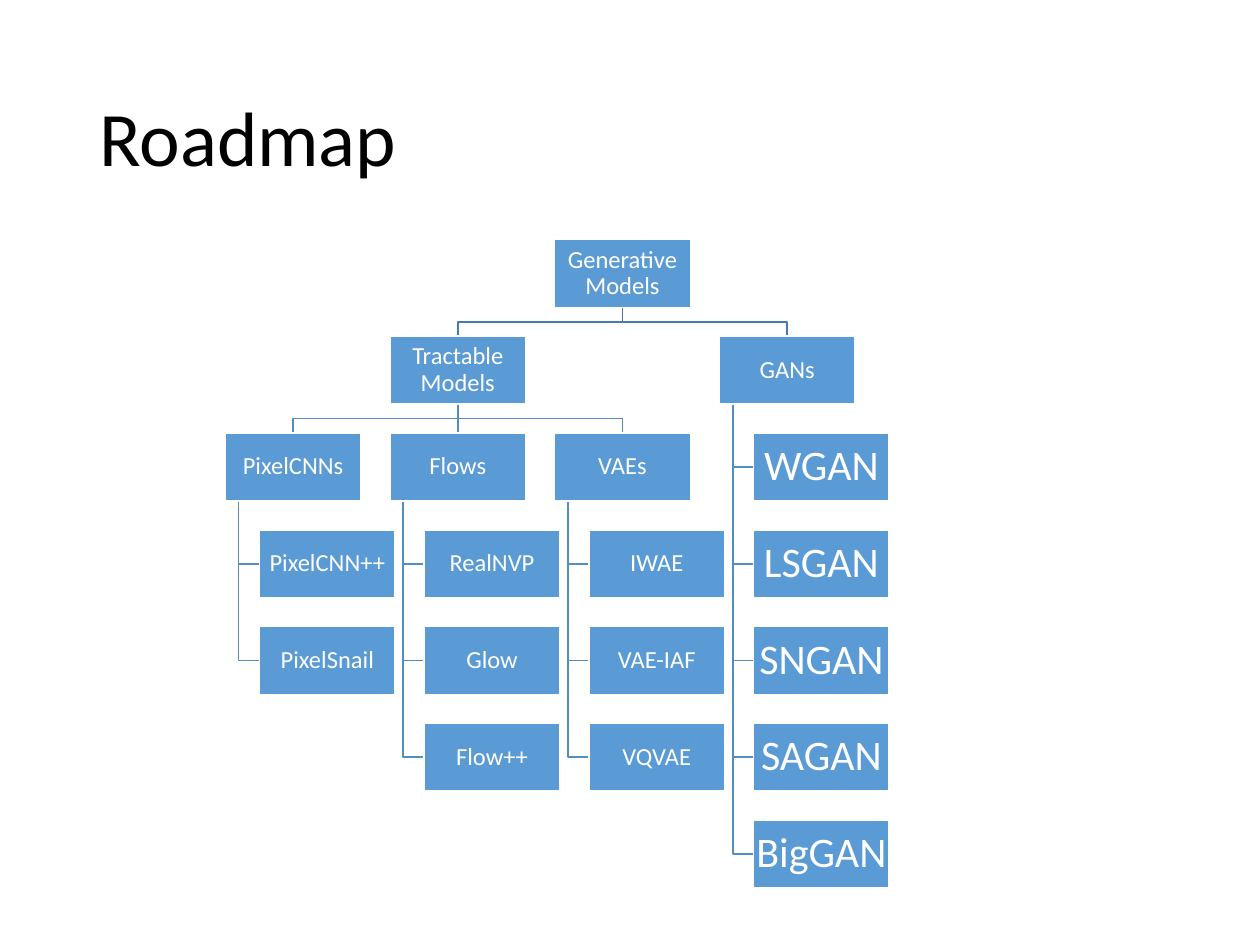
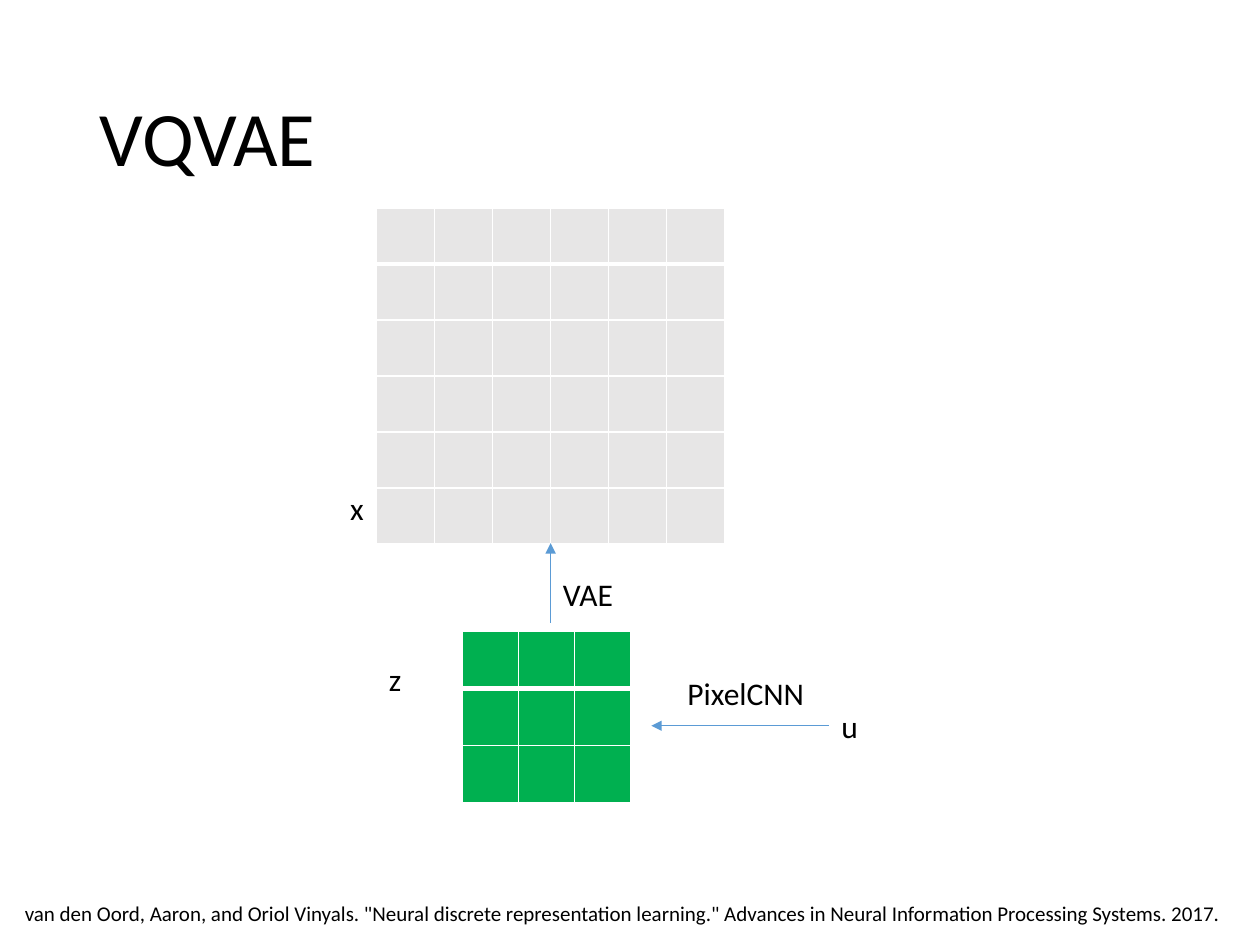
"""Build two slides: a roadmap tree of generative models and a VQVAE diagram."""
from dataclasses import dataclass
from typing import Optional

from lxml import etree
from pptx import Presentation
from pptx import util as u
from pptx.dml.color import RGBColor
from pptx.enum import shapes, text
from pptx.oxml.ns import qn

FONT = "Calibri"
COLORS = {
    "text": "000000",
    "white": "FFFFFF",
    "blue": "5B9BD5",
    "root_link": "497CAB",
    "link": "538DC1",
    "grey": "E7E6E6",
    "green": "00B050",
}

BOX_WIDTH, BOX_HEIGHT = 2.74, 1.37
TREE_LEFT, TREE_TOP = 4.54, 4.83
COLUMN_STEP, ROW_STEP = 3.32, 1.95
LEAF_INDENT, STEM_OFFSET = 0.69, 0.27
LABEL_HEIGHT = 1.02


@dataclass(frozen=True)
class Branch:
    """A tree node placed on the grid, with the leaves hanging below it."""
    label: str
    column: int
    row: int
    parent: Optional[str] = None
    leaves: tuple[str, ...] = ()
    leaf_size: int = 14

    @property
    def left(self) -> float:
        return TREE_LEFT + self.column * COLUMN_STEP

    @property
    def center(self) -> float:
        return self.left + BOX_WIDTH / 2

    @property
    def top(self) -> float:
        return TREE_TOP + self.row * ROW_STEP

    @property
    def bottom(self) -> float:
        return self.top + BOX_HEIGHT

    def leaf_top(self, index: int) -> float:
        return self.top + (index + 1) * ROW_STEP


@dataclass(frozen=True)
class Label:
    """A one-line text box."""
    content: str
    left: float
    top: float
    width: float
    height: float = LABEL_HEIGHT
    size: int = 18


@dataclass(frozen=True)
class Grid:
    """A table of equal coloured cells."""
    count: int
    left: float
    top: float
    cell_width: float
    cell_height: float
    color: str


@dataclass(frozen=True)
class Arrow:
    """A straight arrow from start to end."""
    start: tuple[float, float]
    end: tuple[float, float]


BRANCHES = (
    Branch("Generative Models", 2, 0),
    Branch("Tractable Models", 1, 1, "Generative Models"),
    Branch("GANs", 3, 1, "Generative Models",
           ("WGAN", "LSGAN", "SNGAN", "SAGAN", "BigGAN"), 24),
    Branch("PixelCNNs", 0, 2, "Tractable Models", ("PixelCNN++", "PixelSnail")),
    Branch("Flows", 1, 2, "Tractable Models", ("RealNVP", "Glow", "Flow++")),
    Branch("VAEs", 2, 2, "Tractable Models", ("IWAE", "VAE-IAF", "VQVAE")),
)
GRIDS = (
    Grid(6, 7.59, 4.19, 1.17, 1.13, "grey"),
    Grid(3, 9.32, 12.73, 1.13, 1.15, "green"),
)
ARROWS = (
    Arrow((11.1, 12.55), (11.1, 10.95)),
    Arrow((16.71, 14.63), (13.13, 14.63)),
)
LABELS = (
    Label("z", 7.59, 13.18, 0.76),
    Label("x", 6.81, 9.73, 0.79),
    Label("u", 16.71, 14.12, 0.86),
    Label("VAE", 11.1, 11.46, 1.52),
    Label("PixelCNN", 13.61, 13.46, 2.9),
    Label('van den Oord, Aaron, and Oriol Vinyals. "Neural discrete representation '
          'learning." Advances in Neural Information Processing Systems. 2017.',
          0.25, 18.03, 24.87, 1.27, 12),
)


def rgb(name: str) -> RGBColor:
    """Look up a named colour."""
    return RGBColor.from_string(COLORS[name])


def write_text(shape, content: str, *, size: int, color: str = "text",
               align=text.PP_ALIGN.LEFT, anchor=text.MSO_ANCHOR.TOP,
               spacing: float = 1.0, wrap: bool = True,
               fit=text.MSO_AUTO_SIZE.NONE, inset: Optional[float] = None) -> None:
    """Write formatted text into a shape."""
    frame = shape.text_frame
    frame.text = content
    frame.word_wrap = wrap
    frame.auto_size = fit
    frame.vertical_anchor = anchor
    if inset is not None:
        frame.margin_left = frame.margin_right = u.Cm(inset)
        frame.margin_top = frame.margin_bottom = u.Cm(inset)
    paragraph = frame.paragraphs[0]
    paragraph.alignment = align
    paragraph.line_spacing = spacing
    font = paragraph.runs[0].font
    font.name = FONT
    font.size = u.Pt(size)
    font.color.rgb = rgb(color)


def add_titled_slide(presentation, title: str):
    """Add a slide with the shared title style."""
    slide = presentation.slides.add_slide(presentation.slide_layouts[5])
    shape = slide.shapes.title
    shape.left, shape.top = u.Cm(1.75), u.Cm(1.02)
    shape.width, shape.height = u.Cm(21.9), u.Cm(3.68)
    write_text(shape, title, size=44, anchor=text.MSO_ANCHOR.MIDDLE, spacing=0.9)
    return slide


def add_line(slide, start: tuple[float, float], end: tuple[float, float], *,
             color: str, width: float, arrow: bool = False) -> None:
    """Draw a straight line, with an arrowhead at its end on request."""
    connector = slide.shapes.add_connector(
        shapes.MSO_CONNECTOR.STRAIGHT, *(u.Cm(value) for value in start + end))
    connector.line.color.rgb = rgb(color)
    connector.line.width = u.Pt(width)
    properties = connector._element.spPr
    if arrow:
        etree.SubElement(properties.find(qn("a:ln")), qn("a:tailEnd"), type="triangle")
    etree.SubElement(properties, qn("a:effectLst"))


def add_link(slide, points: list[tuple[float, float]], color: str) -> None:
    """Draw an open bent line through the points."""
    start, *others = [(u.Cm(x), u.Cm(y)) for x, y in points]
    builder = slide.shapes.build_freeform(*start)
    builder.add_line_segments(others, close=False)
    shape = builder.convert_to_shape()
    shape.shadow.inherit = False
    shape.fill.background()
    shape.line.color.rgb = rgb(color)
    shape.line.width = u.Pt(1)


def add_box(slide, label: str, left: float, top: float, size: int = 14) -> None:
    """Draw one box of the tree."""
    shape = slide.shapes.add_shape(
        shapes.MSO_SHAPE.RECTANGLE,
        u.Cm(left), u.Cm(top), u.Cm(BOX_WIDTH), u.Cm(BOX_HEIGHT))
    shape.shadow.inherit = False
    shape.fill.solid()
    shape.fill.fore_color.rgb = rgb("blue")
    shape.line.color.rgb = rgb("white")
    shape.line.width = u.Pt(1)
    write_text(shape, label, size=size, color="white", align=text.PP_ALIGN.CENTER,
               anchor=text.MSO_ANCHOR.MIDDLE, spacing=0.9, inset=0.03)


def add_branch_links(slide, branch: Branch, parent: Optional[Branch]) -> None:
    """Link a branch to its parent and to its leaves."""
    if parent:
        color = "link" if parent.parent else "root_link"
        start, end = (parent.center, parent.bottom), (branch.center, branch.top)
        if parent.column == branch.column:
            add_line(slide, start, end, color=color, width=1)
        else:
            middle = (parent.bottom + branch.top) / 2
            add_link(slide, [start, (parent.center, middle),
                             (branch.center, middle), end], color)
    stem = branch.left + STEM_OFFSET
    for index in range(len(branch.leaves)):
        level = branch.leaf_top(index) + BOX_HEIGHT / 2
        add_link(slide, [(stem, branch.bottom), (stem, level),
                         (branch.left + LEAF_INDENT, level)], "link")


def add_tree(slide, branches: tuple[Branch, ...]) -> None:
    """Draw the links of the tree, then its boxes."""
    by_label = {branch.label: branch for branch in branches}
    for branch in branches:
        add_branch_links(slide, branch, by_label.get(branch.parent))
    for branch in branches:
        add_box(slide, branch.label, branch.left, branch.top)
        for index, leaf in enumerate(branch.leaves):
            add_box(slide, leaf, branch.left + LEAF_INDENT,
                    branch.leaf_top(index), branch.leaf_size)


def set_borders(cell, top: float, bottom: float) -> None:
    """Give a cell white borders of the given widths in points."""
    properties = cell._tc.get_or_add_tcPr()
    widths = {"a:lnL": 1, "a:lnR": 1, "a:lnT": top, "a:lnB": bottom}
    for tag, width in widths.items():
        line = etree.SubElement(properties, qn(tag), w=str(int(u.Pt(width))))
        fill = etree.SubElement(line, qn("a:solidFill"))
        etree.SubElement(fill, qn("a:srgbClr"), val=COLORS["white"])


def add_grid(slide, grid: Grid) -> None:
    """Draw a grid as a table with a thick rule below its first row."""
    table = slide.shapes.add_table(
        grid.count, grid.count, u.Cm(grid.left), u.Cm(grid.top),
        u.Cm(grid.count * grid.cell_width), u.Cm(grid.count * grid.cell_height)).table
    for column in table.columns:
        column.width = u.Cm(grid.cell_width)
    for index, row in enumerate(table.rows):
        row.height = u.Cm(grid.cell_height)
        for cell in row.cells:
            set_borders(cell, top=3 if index == 1 else 1, bottom=3 if index == 0 else 1)
            cell.fill.solid()
            cell.fill.fore_color.rgb = rgb(grid.color)


def add_label(slide, label: Label) -> None:
    """Add a text box that keeps its text on one line."""
    shape = slide.shapes.add_textbox(
        u.Cm(label.left), u.Cm(label.top), u.Cm(label.width), u.Cm(label.height))
    write_text(shape, label.content, size=label.size, wrap=False,
               fit=text.MSO_AUTO_SIZE.SHAPE_TO_FIT_TEXT)


def main() -> None:
    """Build and save the presentation."""
    presentation = Presentation()
    presentation.slide_width, presentation.slide_height = u.Cm(25.4), u.Cm(19.05)

    roadmap = add_titled_slide(presentation, "Roadmap")
    add_tree(roadmap, BRANCHES)

    vqvae = add_titled_slide(presentation, "VQVAE")
    for grid in GRIDS:
        add_grid(vqvae, grid)
    for arrow in ARROWS:
        add_line(vqvae, arrow.start, arrow.end, color="blue", width=0.5, arrow=True)
    for label in LABELS:
        add_label(vqvae, label)

    presentation.save("out.pptx")


main()
